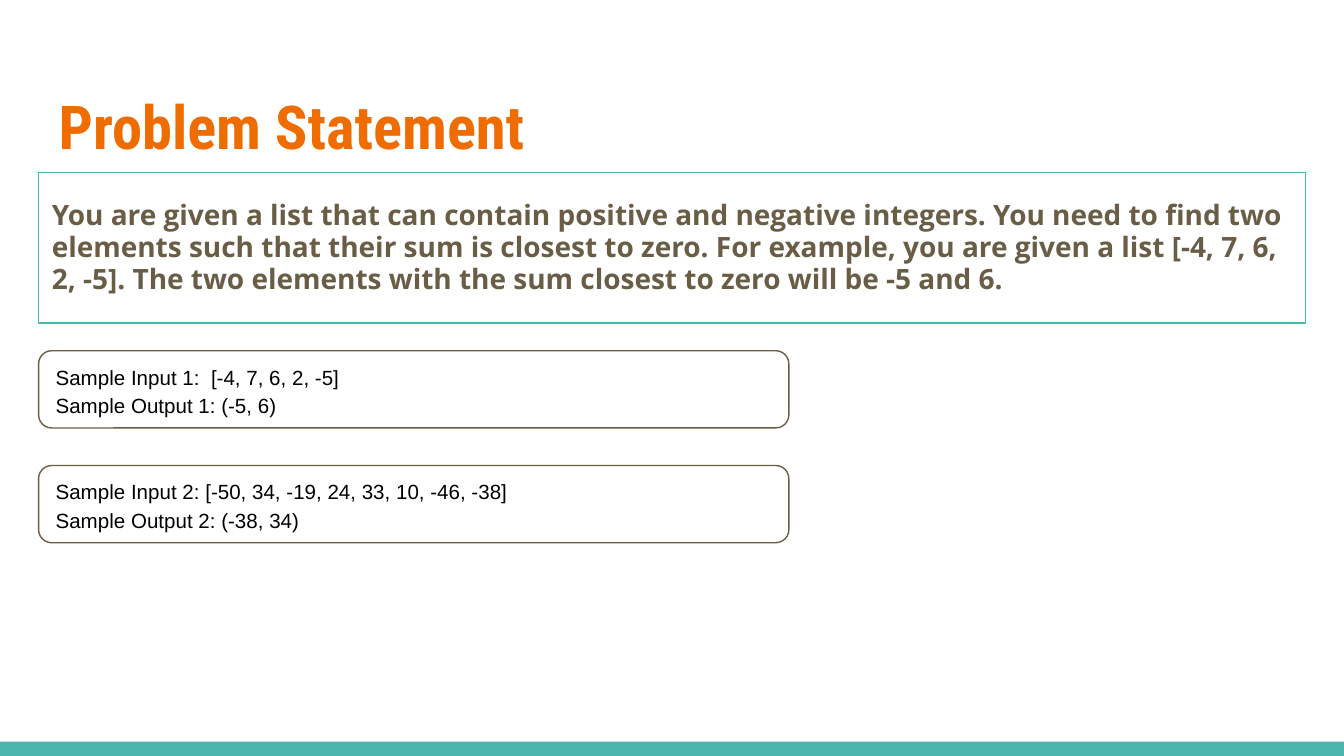
from pptx import Presentation
from pptx.dml.color import RGBColor
from pptx.enum.shapes import MSO_SHAPE
from pptx.enum.text import MSO_ANCHOR, PP_ALIGN
from pptx.util import Cm, Pt

RECT, ROUNDED = MSO_SHAPE.RECTANGLE, MSO_SHAPE.ROUNDED_RECTANGLE
TOP, MIDDLE = MSO_ANCHOR.TOP, MSO_ANCHOR.MIDDLE
LEFT = PP_ALIGN.LEFT

COLORS = {"teal": "4DB6AC", "orange": "EF6C00", "brown": "695D46", "black": "000000"}
TITLE = {"name": "Roboto Condensed", "size": Pt(32.4), "bold": True}
STATEMENT = {"name": "Open Sans", "size": Pt(15), "bold": True}
SAMPLE = {"name": "Arial", "size": Pt(11), "bold": False}


def add_panel(kind, left, top, width, height, line=None, fill=None):
    panel = slide.shapes.add_shape(kind, Cm(left), Cm(top), Cm(width), Cm(height))
    panel.shadow.inherit = False
    if fill:
        panel.fill.solid()
        panel.fill.fore_color.rgb = RGBColor.from_string(COLORS[fill])
    else:
        panel.fill.background()
    if line:
        panel.line.color.rgb = RGBColor.from_string(COLORS[line])
        panel.line.width = Pt(0.75)
    else:
        panel.line.fill.background()
    return panel


def write(holder, text, font, color, spacing, anchor=MIDDLE):
    frame = holder.text_frame
    frame.word_wrap = True
    frame.vertical_anchor = anchor
    for side in ("left", "right", "top", "bottom"):
        setattr(frame, f"margin_{side}", Cm(0.25))
    paragraph = frame.paragraphs[0]
    paragraph.text = text
    paragraph.alignment = LEFT
    paragraph.line_spacing = spacing
    for run in paragraph.runs:
        for attribute, value in font.items():
            setattr(run.font, attribute, value)
        run.font.color.rgb = RGBColor.from_string(COLORS[color])


prs = Presentation()
prs.slide_width, prs.slide_height = Cm(25.4), Cm(14.29)
slide = prs.slides.add_slide(prs.slide_layouts[6])

# Footer bar
add_panel(RECT, 0, 14.02, 25.4, 0.27, fill="teal")

# Title
title = slide.shapes.add_textbox(Cm(0.86), Cm(1.22), Cm(23.67), Cm(1.96))
write(title, "Problem Statement", TITLE, "orange", 1.15, TOP)

# Problem statement
statement = add_panel(RECT, 0.73, 3.26, 23.94, 2.85, line="teal")
write(
    statement,
    "You are given a list that can contain positive and negative integers. "
    "You need to find two elements such that their sum is closest to zero. "
    "For example, you are given a list [-4, 7, 6, 2, -5]. "
    "The two elements with the sum closest to zero will be -5 and 6.",
    STATEMENT, "brown", 0.95,
)

# Samples, each with its input and output on two lines
samples = [
    "Sample Input 1:  [-4, 7, 6, 2, -5]\vSample Output 1: (-5, 6)",
    "Sample Input 2: [-50, 34, -19, 24, 33, 10, -46, -38]\vSample Output 2: (-38, 34)",
]
for row, text in enumerate(samples):
    sample = add_panel(ROUNDED, 0.73, 6.63 + row * 2.17, 14.18, 1.46, line="brown")
    sample.adjustments[0] = 0.17
    write(sample, text, SAMPLE, "black", 1.15)

prs.save("out.pptx")
